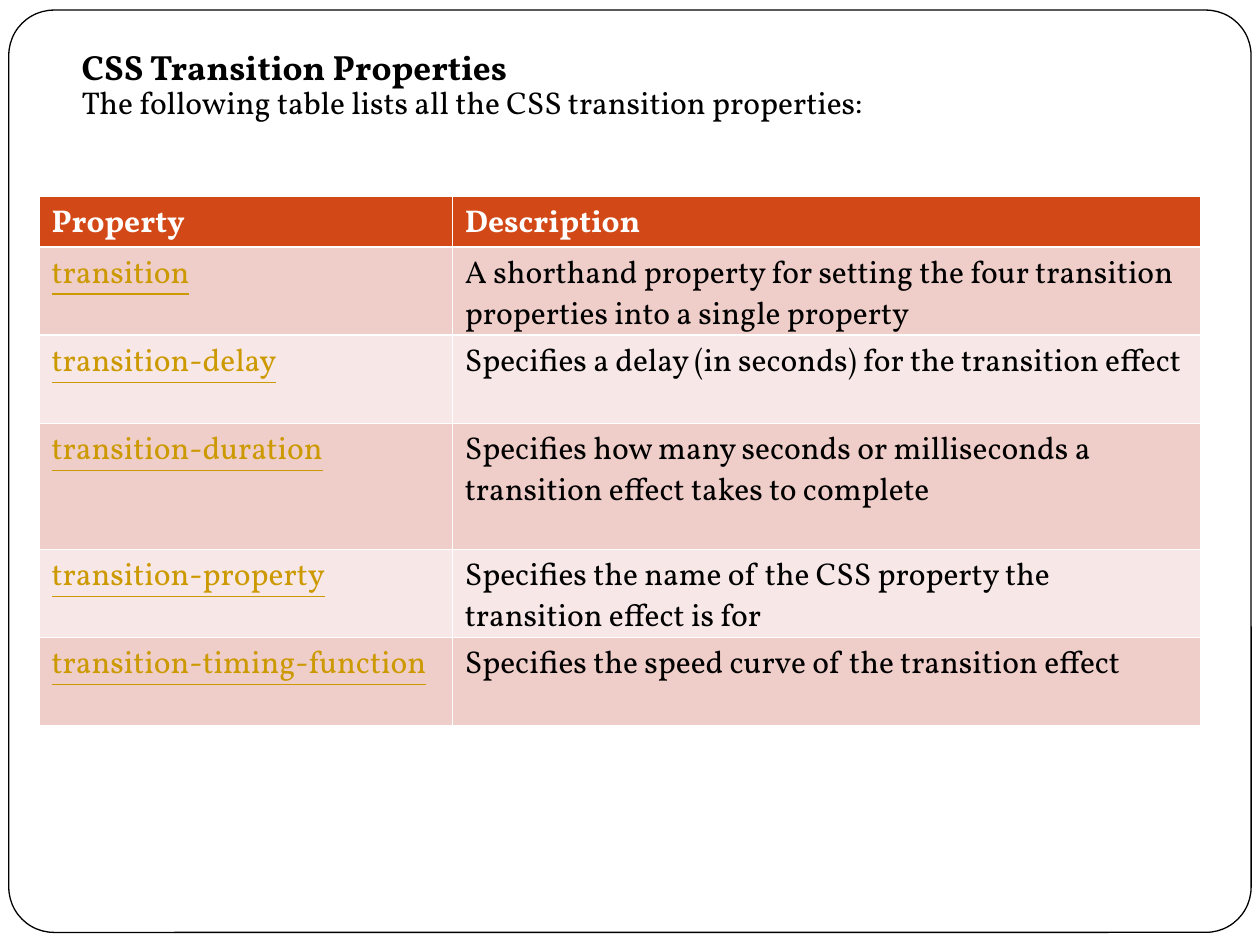
from pptx import Presentation
from pptx import util as u
from pptx.dml.color import RGBColor
from pptx.enum import shapes

BLACK = RGBColor(0x00, 0x00, 0x00)
WHITE = RGBColor(0xFF, 0xFF, 0xFF)
ORANGE = RGBColor(0xD3, 0x48, 0x17)
GOLD = RGBColor(0xCC, 0x99, 0x00)
BANDS = RGBColor(0xEF, 0xCE, 0xCA), RGBColor(0xF7, 0xE8, 0xE7)

HEADERS = ["Property", "Description"]
PROPERTIES = [
    ("transition", "A shorthand property for setting the four transition properties into a single property"),
    ("transition-delay", "Specifies a delay (in seconds) for the transition effect"),
    ("transition-duration", "Specifies how many seconds or milliseconds a transition effect takes to complete"),
    ("transition-property", "Specifies the name of the CSS property the transition effect is for"),
    ("transition-timing-function", "Specifies the speed curve of the transition effect"),
]
COLUMN_WIDTHS = [3.28, 5.94]
ROW_HEIGHTS = [0.4, 0.7, 0.7, 1, 0.7, 0.7]


def write(p, content, size=18, color=BLACK, bold=False, underline=False, spacing=None):
    p.line_spacing = spacing
    r = p.add_run()
    r.text = content
    r.font.name = "Vollkorn"
    r.font.size = u.Pt(size)
    r.font.color.rgb = color
    r.font.bold = bold
    r.font.underline = underline


class Deck:
    def __init__(self, slide):
        self.s = slide

    def frame(self, *box):
        sp = self.s.shapes.add_shape(shapes.MSO_SHAPE.ROUNDED_RECTANGLE, *map(u.Inches, box))
        sp.adjustments[0] = 0.049
        sp.shadow.inherit = False
        sp.fill.solid()
        sp.fill.fore_color.rgb = WHITE
        sp.line.color.rgb = BLACK
        sp.line.width = u.Pt(0.75)

    def heading(self, title, subtitle, *box):
        tf = self.s.shapes.add_textbox(*map(u.Inches, box)).text_frame
        tf.word_wrap = True
        write(tf.paragraphs[0], title, size=20, bold=True)
        write(tf.add_paragraph(), subtitle, spacing=0.9)

    def cell(self, cell, content, fill, **style):
        cell.fill.solid()
        cell.fill.fore_color.rgb = fill
        cell.margin_bottom = 0
        write(cell.text_frame.paragraphs[0], content, **style)

    def table(self, headers, rows, left, top):
        box = left, top, sum(COLUMN_WIDTHS), sum(ROW_HEIGHTS)
        table = self.s.shapes.add_table(len(rows) + 1, len(headers), *map(u.Inches, box)).table
        for column, width in zip(table.columns, COLUMN_WIDTHS):
            column.width = u.Inches(width)
        for row, height in zip(table.rows, ROW_HEIGHTS):
            row.height = u.Inches(height)
        for i, header in enumerate(headers):
            self.cell(table.cell(0, i), header, ORANGE, color=WHITE, bold=True)
        for i, (name, description) in enumerate(rows):
            band = BANDS[i % 2]
            self.cell(table.cell(i + 1, 0), name, band, color=GOLD, underline=True, spacing=0.93)
            self.cell(table.cell(i + 1, 1), description, band, spacing=0.93)


def main():
    prs = Presentation()
    prs.slide_width, prs.slide_height = u.Inches(10), u.Inches(7.5)
    deck = Deck(prs.slides.add_slide(prs.slide_layouts[6]))
    deck.frame(0.07, 0.08, 9.86, 7.32)
    deck.heading("CSS Transition Properties",
                 "The following table lists all the CSS transition properties:",
                 0.55, 0.31, 8.05, 0.74)
    deck.table(HEADERS, PROPERTIES, 0.31, 1.56)
    prs.save("out.pptx")


if __name__ == "__main__":
    main()
